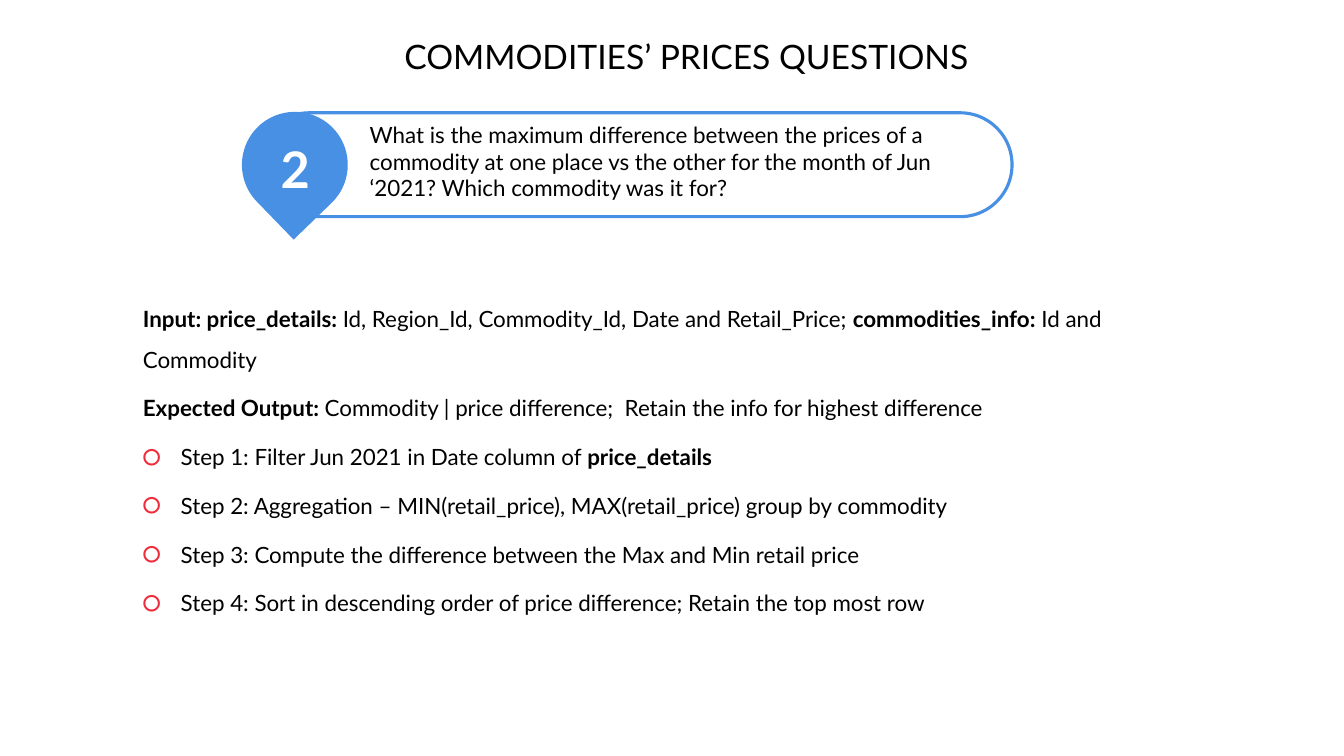
from lxml import etree
from pptx import Presentation
from pptx import util as u
from pptx.dml.color import RGBColor
from pptx.enum import shapes, text
from pptx.oxml import ns

BLACK = RGBColor(0x00, 0x00, 0x00)
WHITE = RGBColor(0xFF, 0xFF, 0xFF)
BLUE = RGBColor(0x48, 0x90, 0xE4)
RED = RGBColor(0xEE, 0x2C, 0x3C)
FONT = "Lato"
BULLET = "🞆"
BULLET_INDENT = 27

QUESTION = ("What is the maximum difference between the prices of a commodity at one place "
            "vs the other for the month of Jun ‘2021? Which commodity was it for?")
TABLES = [
    [("Input: price_details: ", True),
     ("Id, Region_Id, Commodity_Id, Date and Retail_Price; ", False),
     ("commodities_info:", True), (" Id and Commodity", False)],
    [("Expected Output: ", True),
     ("Commodity | price difference;  Retain the info for highest difference", False)],
]
STEPS = [
    [("Step 1: Filter Jun 2021 in Date column of ", False), ("price_details", True)],
    [("Step 2: Aggregation – MIN(retail_price), MAX(retail_price) group by commodity", False)],
    [("Step 3: Compute the difference between the Max and Min retail price", False)],
    [("Step 4: Sort in descending order of price difference; Retain the top most row", False)],
]


def write(paragraph, runs, size=16, color=BLACK, align=text.PP_ALIGN.LEFT,
          before=0, after=0, spacing=1.0, bullet=False):
    """Fill a paragraph with (wording, bold) runs and format it."""
    paragraph.alignment = align
    paragraph.space_before, paragraph.space_after = u.Pt(before), u.Pt(after)
    paragraph.line_spacing = spacing
    for wording, bold in runs:
        run = paragraph.add_run()
        run.text = wording
        run.font.name, run.font.size, run.font.bold = FONT, u.Pt(size), bold
        run.font.color.rgb = color
    if bullet:
        props = paragraph._p.get_or_add_pPr()
        props.set("marL", str(u.Pt(BULLET_INDENT)))
        props.set("indent", str(-u.Pt(BULLET_INDENT)))
        tint = etree.SubElement(props, ns.qn("a:buClr"))
        etree.SubElement(tint, ns.qn("a:srgbClr"), val=str(RED))
        etree.SubElement(props, ns.qn("a:buFont"), typeface=FONT)
        etree.SubElement(props, ns.qn("a:buChar"), char=BULLET)


def add_frame(slide, left, top, width, height, anchor=text.MSO_ANCHOR.TOP):
    """Add a wrapping text box and return its text frame."""
    box = slide.shapes.add_textbox(u.Pt(left), u.Pt(top), u.Pt(width), u.Pt(height))
    frame = box.text_frame
    frame.word_wrap = True
    frame.vertical_anchor = anchor
    return frame


def add_filled(slide, kind, left, top, width, height, fill, adjustment):
    """Add a flat shape with one adjustment and no outline."""
    shape = slide.shapes.add_shape(kind, u.Pt(left), u.Pt(top), u.Pt(width), u.Pt(height))
    shape.shadow.inherit = False
    shape.adjustments[0] = adjustment
    shape.fill.solid()
    shape.fill.fore_color.rgb = fill
    shape.line.fill.background()
    return shape


def add_title(slide, left, top, width, height):
    """Place the centred slide title."""
    frame = add_frame(slide, left, top, width, height)
    write(frame.paragraphs[0], [("COMMODITIES’ PRICES QUESTIONS", False)],
          size=24, align=text.PP_ALIGN.CENTER)


def add_question(slide, left, top, width, height):
    """Place the numbered pin and the outlined question beside it."""
    pill = add_filled(slide, shapes.MSO_SHAPE.ROUNDED_RECTANGLE,
                      left + 10.8, top + 0.7, width - 10.8, height - 1.4, WHITE, 0.5)
    pill.line.color.rgb, pill.line.width = BLUE, u.Pt(2.25)
    question = add_frame(slide, left + 84.2, top + 2.9, width - 95.7, height - 6.5)
    write(question.paragraphs[0], [(QUESTION, False)], before=2, after=2)
    pin = add_filled(slide, shapes.MSO_SHAPE.TEAR, left, top, height, height, BLUE, 1)
    pin.rotation = 135.9
    number = add_frame(slide, left, top + 15.1, height + 0.7, 51.1, text.MSO_ANCHOR.MIDDLE)
    write(number.paragraphs[0], [("2", True)], size=36, color=WHITE,
          align=text.PP_ALIGN.CENTER)


def add_solution(slide, left, top, width, height):
    """Place the input and output lines followed by the bulleted steps."""
    frame = add_frame(slide, left, top, width, height)
    for index, runs in enumerate(TABLES + STEPS):
        paragraph = frame.add_paragraph() if index else frame.paragraphs[0]
        write(paragraph, runs, before=6 if index else 0, spacing=1.5,
              bullet=index >= len(TABLES))


def main():
    """Build the slide and save it."""
    deck = Presentation()
    deck.slide_width, deck.slide_height = u.Pt(960), u.Pt(540)
    slide = deck.slides.add_slide(deck.slide_layouts[6])
    add_title(slide, 162.7, 22.3, 655.2, 41)
    add_question(slide, 172.8, 79.9, 550.1, 75.6)
    add_solution(slide, 95, 205.2, 769.7, 237.6)
    deck.save("out.pptx")


if __name__ == "__main__":
    main()
